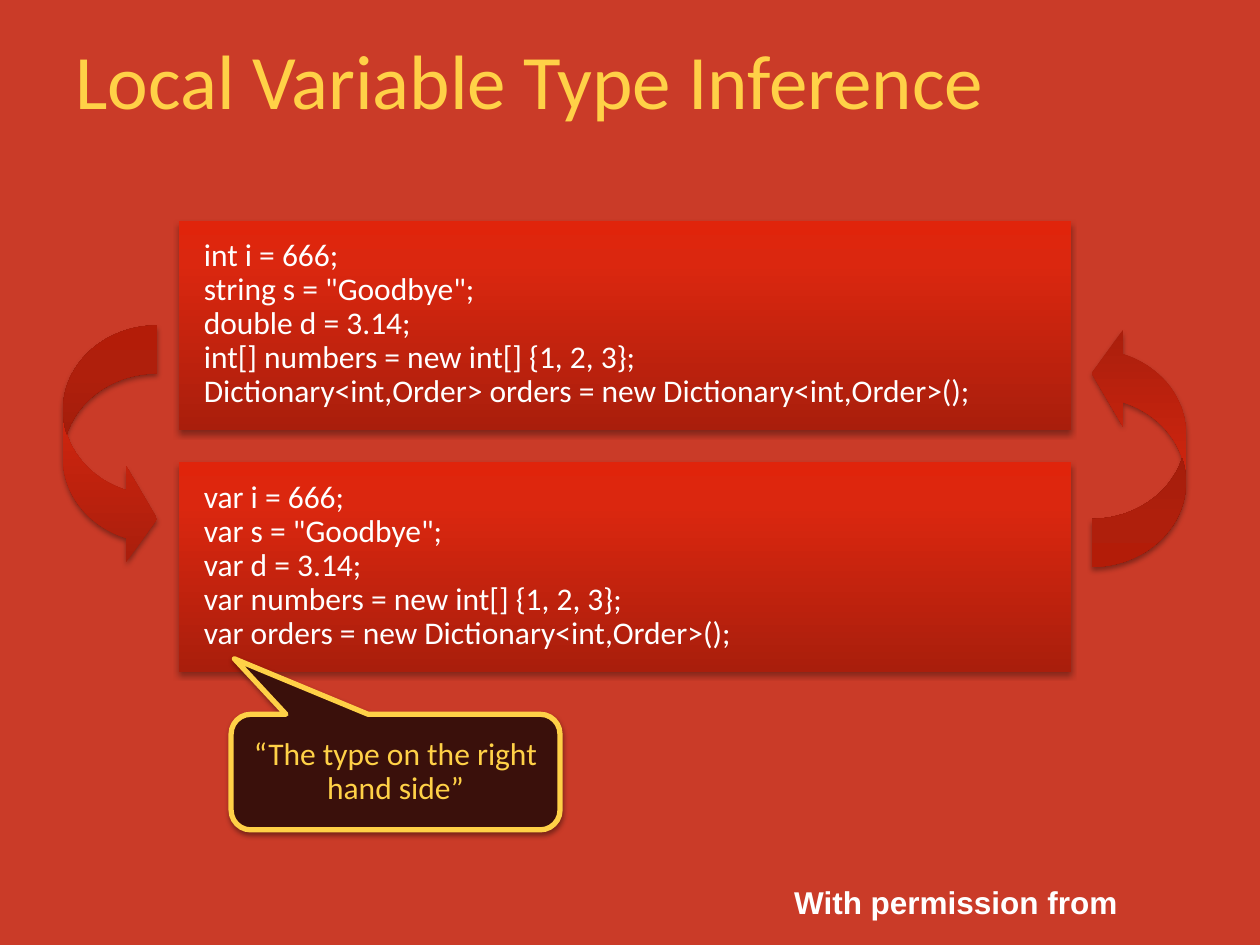
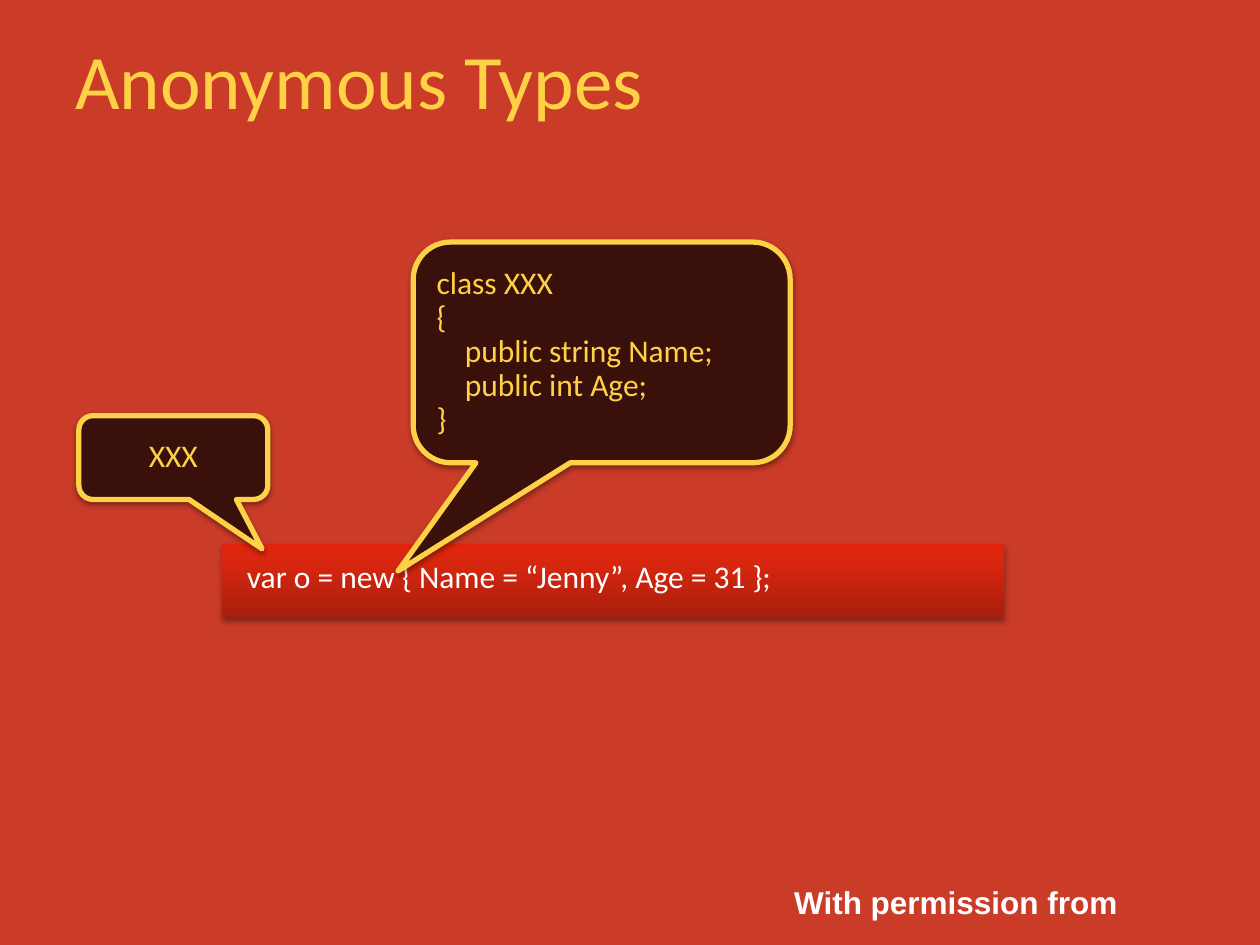
from dataclasses import dataclass

from lxml import etree
from pptx import Presentation
from pptx import util as u
from pptx.dml.color import RGBColor
from pptx.enum import shapes, text
from pptx.oxml.ns import qn


@dataclass(frozen=True)
class Theme:
    back: str = "CA3B28"
    gold: str = "FFD147"
    white: str = "FFFFFF"
    dark: str = "3A100B"
    black: str = "000000"
    ramp: tuple = ((0, "A91E0C"), (80, "DB270F"), (100, "E0240B"))
    face: str = "Calibri"
    foot: str = "Arial"
    head: int = 44
    body: int = 18


KIND = shapes.MSO_SHAPE
LEFT, MID = text.PP_ALIGN.LEFT, text.PP_ALIGN.CENTER
TOP, CENTER = text.MSO_ANCHOR.TOP, text.MSO_ANCHOR.MIDDLE
FIT = text.MSO_AUTO_SIZE.SHAPE_TO_FIT_TEXT
INDENT = u.Cm(0.57)


def paint(name):
    return RGBColor.from_string(name)


class Deck:
    def __init__(self, theme):
        self.theme = theme
        self.prs = Presentation()
        self.prs.slide_width, self.prs.slide_height = u.Cm(25.4), u.Cm(19.05)
        fill = self.prs.slide_master.background.fill
        fill.solid()
        fill.fore_color.rgb = paint(theme.back)

    def page(self, title):
        self.slide = self.prs.slides.add_slide(self.prs.slide_layouts[6])
        th = self.theme
        foot = self.label((15.67, 17.55, 7.2, 1.06), "With permission from",
                          th.white, th.body, align=MID, face=th.foot)
        foot.auto_size = FIT
        line = foot.paragraphs[0]
        line.font.bold = True
        line.line_spacing, line.space_after = u.Pt(25), u.Pt(10)
        self.label((1.27, 0, 19.69, 3.18), title, th.gold, th.head, anchor=CENTER)

    def label(self, box, words, color, size, align=LEFT, anchor=TOP, face=None):
        frame = self.slide.shapes.add_textbox(*map(u.Cm, box)).text_frame
        self.letter(frame, [words], color, size, align, anchor, face)
        return frame

    def letter(self, frame, lines, color, size, align, anchor, face=None, space=None):
        frame.word_wrap = True
        frame.vertical_anchor = anchor
        for i, words in enumerate(lines):
            para = frame.paragraphs[0] if i == 0 else frame.add_paragraph()
            para.text = words.lstrip("\t")
            if words.startswith("\t"):
                para._p.get_or_add_pPr().set("marL", str(INDENT))
            para.alignment = align
            para.line_spacing = space
            font = para.font
            font.name, font.size = face or self.theme.face, u.Pt(size)
            font.color.rgb = paint(color)

    def shape(self, kind, box, alpha, dist, adjust=()):
        item = self.slide.shapes.add_shape(kind, *map(u.Cm, box))
        for i, value in enumerate(adjust):
            item.adjustments[i] = value
        item.shadow.inherit = False
        glow = etree.SubElement(
            item._element.spPr.find(qn("a:effectLst")), qn("a:outerShdw"),
            blurRad=str(u.Pt(3.1)), dist=str(u.Pt(dist)), dir="5400000",
            rotWithShape="0")
        tone = etree.SubElement(glow, qn("a:srgbClr"), val=self.theme.black)
        etree.SubElement(tone, qn("a:alpha"), val=str(alpha * 1000))
        return item

    def glossy(self, kind, box, adjust=()):
        item = self.shape(kind, box, 35, 1.8, adjust)
        item.line.fill.background()
        item.fill.gradient()
        item.fill.gradient_angle = 90
        stops = item._element.spPr.find(".//" + qn("a:gsLst"))
        stops.clear()
        for pos, color in self.theme.ramp:
            stop = etree.SubElement(stops, qn("a:gs"), pos=str(pos * 1000))
            etree.SubElement(stop, qn("a:srgbClr"), val=color)
        return item

    def code(self, box, lines):
        frame = self.glossy(KIND.RECTANGLE, box).text_frame
        frame.margin_left = frame.margin_right = u.Cm(0.51)
        frame.margin_top = frame.margin_bottom = u.Cm(0.38)
        frame.auto_size = FIT
        self.letter(frame, lines, self.theme.white, self.theme.body, LEFT, TOP, space=0.9)

    def arrow(self, box, turn=False):
        item = self.glossy(KIND.CURVED_RIGHT_ARROW, box, (0.51, 1.02, 0.33))
        if turn:
            frame = item._element.spPr.find(qn("a:xfrm"))
            frame.set("flipH", "1")
            frame.set("flipV", "1")

    def bubble(self, box, tip, lines, align=MID):
        th = self.theme
        item = self.shape(KIND.ROUNDED_RECTANGULAR_CALLOUT, box, 38, 1.6, (*tip, 0.17))
        item.fill.solid()
        item.fill.fore_color.rgb = paint(th.dark)
        item.line.color.rgb = paint(th.gold)
        item.line.width = u.Pt(3)
        self.letter(item.text_frame, lines, th.gold, th.body, align, CENTER, space=0.9)


def infer(deck):
    deck.page("Local Variable Type Inference")
    typed = [
        "int i = 666;",
        'string s = "Goodbye";',
        "double d = 3.14;",
        "int[] numbers = new int[] {1, 2, 3};",
        "Dictionary<int,Order> orders = new Dictionary<int,Order>();",
    ]
    short = ["var " + line.split(" ", 1)[1] for line in typed]
    for i, lines in enumerate((typed, short)):
        deck.code((3.6, 4.45 + i * 4.87, 17.99, 4.23), lines)
    for left, turn in ((1.27, False), (22.01, True)):
        deck.arrow((left, 6.56, 1.9, 4.87), turn)
    deck.bubble((4.66, 14.4, 6.63, 2.33), (-0.49, -0.98),
                ["“The type on the right hand side”"])


def unnamed(deck):
    deck.page("Anonymous Types")
    deck.code((4.47, 10.97, 15.77, 1.48), ["var o = new { Name = “Jenny”, Age = 31 };"])
    deck.bubble((8.33, 4.88, 7.6, 4.45), (-0.54, 0.99),
                ["class XXX", "{", "\tpublic string Name;", "\tpublic int Age;", "}"], LEFT)
    deck.bubble((1.59, 8.38, 3.81, 1.69), (0.47, 1.09), ["XXX"])


def main():
    deck = Deck(Theme())
    infer(deck)
    unnamed(deck)
    deck.prs.save("out.pptx")


if __name__ == "__main__":
    main()
